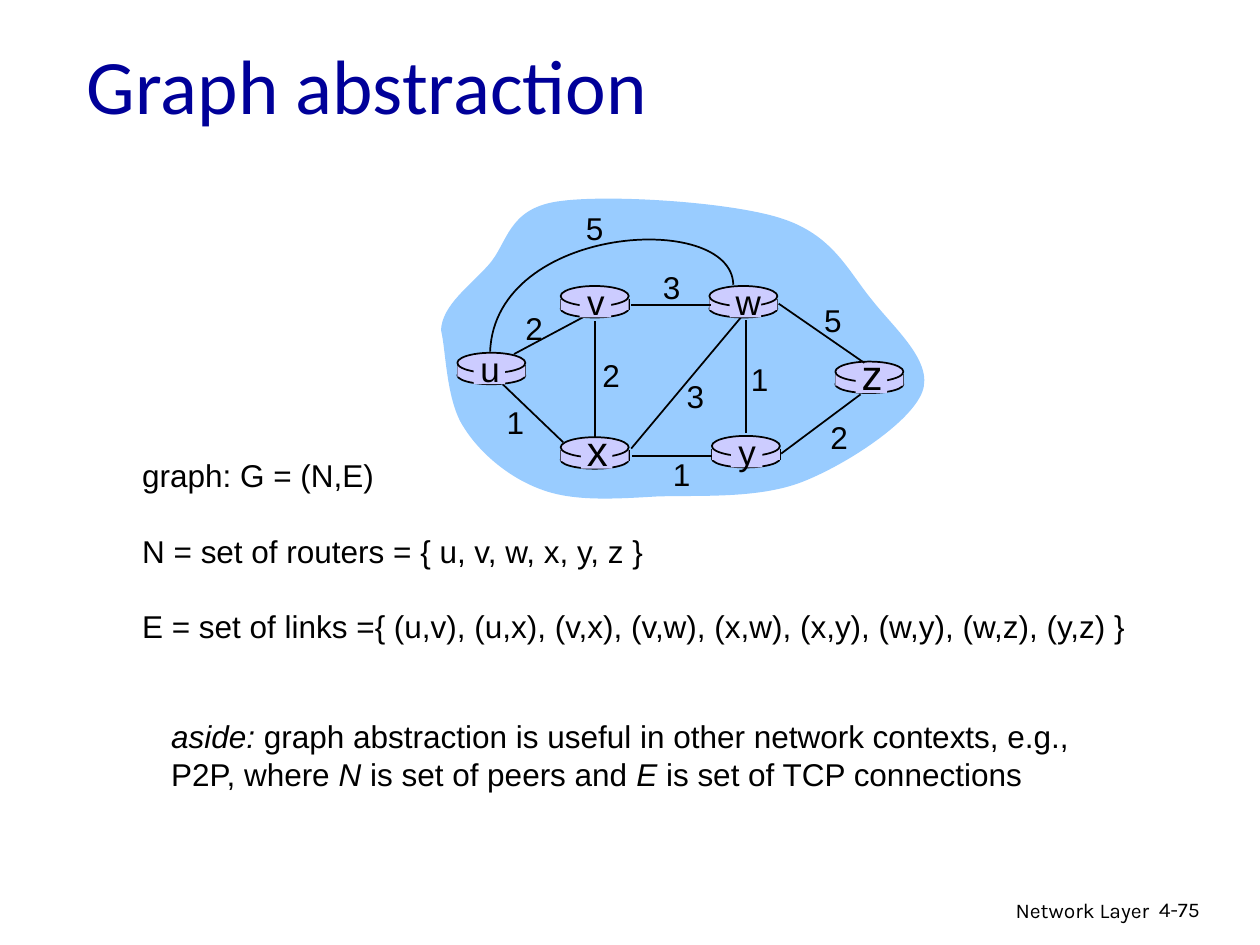
from lxml import etree
from pptx import Presentation
from pptx.dml.color import RGBColor
from pptx.enum.shapes import MSO_CONNECTOR, MSO_SHAPE
from pptx.enum.text import MSO_ANCHOR, PP_ALIGN
from pptx.oxml.ns import qn
from pptx.util import Inches, Pt

STRAIGHT = MSO_CONNECTOR.STRAIGHT
OVAL, RECT = MSO_SHAPE.OVAL, MSO_SHAPE.RECTANGLE
LEFT, CENTER, RIGHT = PP_ALIGN.LEFT, PP_ALIGN.CENTER, PP_ALIGN.RIGHT
COLORS = {"title": "000099", "ink": "000000", "cloud": "99CCFF", "router": "CCCCFF"}
LINE_HEIGHT = Pt(21.6)

# Router name: offset in the graph box, inset of the name plate, letter size
ROUTERS = {
    "u": (0.13, 1.26, 0.13, 20), "x": (0.95, 1.93, 0.16, 24), "v": (0.95, 0.73, 0.15, 20),
    "w": (2.13, 0.73, 0.16, 20), "y": (2.15, 1.92, 0.15, 20), "z": (3.13, 1.33, 0.16, 24),
}
# Link ends in the graph box: x1, y1, x2, y2
LINK_UV = (0.58, 1.27, 1.18, 0.95)
LINKS = [
    (2.42, 1.0, 2.42, 1.9), (1.22, 1.01, 1.22, 1.94), (1.51, 2.02, 2.38, 0.98),
    (2.7, 2.06, 3.33, 1.59), (2.15, 2.08, 1.52, 2.08), (0.97, 1.97, 0.49, 1.51),
    (2.14, 0.88, 1.51, 0.88), (3.36, 1.34, 2.68, 0.87),
]
# Link cost and the offset of its label in the graph box
COSTS = [
    ("2", 0.57, 0.86), ("2", 1.18, 1.24), ("1", 0.42, 1.61), ("3", 1.85, 1.4),
    ("1", 1.74, 2.02), ("1", 2.36, 1.27), ("2", 2.99, 1.73), ("5", 2.94, 0.8),
    ("3", 1.66, 0.54), ("5", 1.05, 0.07),
]
# Curves: a start point, then two controls and an end for each cubic segment
CLOUD = [
    (0, 1.08),
    (0.01, 0.88), (0.23, 0.73), (0.38, 0.56), (0.53, 0.39), (0.53, 0.12), (0.92, 0.06),
    (1.3, 0), (2.28, 0.06), (2.69, 0.19), (3.11, 0.32), (3.23, 0.61), (3.42, 0.84),
    (3.6, 1.07), (3.91, 1.33), (3.82, 1.57), (3.73, 1.81), (3.23, 2.14), (2.88, 2.28),
    (2.53, 2.42), (2.07, 2.39), (1.72, 2.4), (1.38, 2.42), (1.06, 2.44), (0.81, 2.35),
    (0.55, 2.26), (0.31, 2.06), (0.18, 1.85), (0.04, 1.64), (0.04, 1.24), (0, 1.08),
]
LINK_UW = [(2.32, 0.72), (2.31, 0.13), (0.43, 0.24), (0.39, 1.25)]


def rgb(name):
    return RGBColor.from_string(COLORS[name])


def style(shape, fill=None, outlined=False):
    shape.shadow.inherit = False
    if fill:
        shape.fill.solid()
        shape.fill.fore_color.rgb = rgb(fill)
    else:
        shape.fill.background()
    if outlined:
        shape.line.color.rgb = rgb("ink")
        shape.line.width = Pt(1)
    else:
        shape.line.fill.background()


def add_run(paragraph, text, size, font="Arial", color="ink", italic=False):
    run = paragraph.add_run()
    run.text = text
    run.font.size, run.font.name, run.font.italic = Pt(size), font, italic
    run.font.color.rgb = rgb(color)


def add_frame(slide, left, top, width, height, wrap=False):
    box = slide.shapes.add_textbox(Inches(left), Inches(top), Inches(width), Inches(height))
    box.text_frame.word_wrap = wrap
    return box.text_frame


def add_label(slide, box, text, size, align=CENTER, font="Arial", wrap=False):
    paragraph = add_frame(slide, *box, wrap).paragraphs[0]
    paragraph.alignment = align
    add_run(paragraph, text, size, font)


def add_lines(slide, box, lines, gap=0):
    """Each line is a list of (text, italic) runs; gap parts the lines."""
    frame = add_frame(slide, *box)
    for index, runs in enumerate(lines):
        paragraph = frame.add_paragraph() if index else frame.paragraphs[0]
        paragraph.alignment = LEFT
        paragraph.line_spacing = LINE_HEIGHT
        if index and gap:
            paragraph.space_before = gap
        for text, italic in runs:
            add_run(paragraph, text, 18, italic=italic)


def add_line(slide, left, top, ends):
    x1, y1, x2, y2 = ends
    line = slide.shapes.add_connector(
        STRAIGHT, Inches(left + x1), Inches(top + y1), Inches(left + x2), Inches(top + y2))
    line.line.color.rgb = rgb("ink")
    line.line.width = Pt(1)
    etree.SubElement(line._element.spPr, qn("a:effectLst"))


def add_curve(slide, left, top, points, closed):
    emu = [(Inches(left + x), Inches(top + y)) for x, y in points]
    builder = slide.shapes.build_freeform(*emu[0])
    builder.add_line_segments(emu[1:], close=closed)
    curve = builder.convert_to_shape()
    # Turn every three straight segments into one cubic segment
    corners = list(curve._element.iter(qn("a:lnTo")))
    for first in range(0, len(corners), 3):
        cubic = etree.Element(qn("a:cubicBezTo"))
        corners[first].addprevious(cubic)
        for corner in corners[first:first + 3]:
            cubic.append(corner[0])
            corner.getparent().remove(corner)
    return curve


def add_block(slide, preset, box, outlined):
    block = slide.shapes.add_shape(preset, *[Inches(value) for value in box])
    style(block, "router", outlined)


def add_router(slide, left, top):
    add_block(slide, OVAL, (left, top + 0.11, 0.54, 0.14), True)
    for x in (0, 0.54):
        add_line(slide, left, top, (x, 0.1, x, 0.19))
    add_block(slide, RECT, (left, top + 0.1, 0.54, 0.09), False)
    add_block(slide, OVAL, (left, top, 0.54, 0.16), True)


def add_router_name(slide, left, top, name, size):
    add_block(slide, RECT, (left, top + 0.02, 0.25, 0.23), False)
    rise, height = (0.09, 0.43) if size == 20 else (0.15, 0.5)
    add_label(slide, (left - 0.05, top - rise, 0.36, height), name, size)


def add_graph(slide, left, top):
    style(add_curve(slide, left, top, CLOUD, True), "cloud")
    # Routers and links
    add_line(slide, left, top, LINK_UV)
    for x, y, _, _ in ROUTERS.values():
        add_router(slide, left + x, top + y)
    for ends in LINKS:
        add_line(slide, left, top, ends)
    style(add_curve(slide, left, top, LINK_UW, False), outlined=True)
    # Router names and link costs
    for name, (x, y, inset, size) in ROUTERS.items():
        add_router_name(slide, left + x + inset, top + y, name, size)
    for cost, x, y in COSTS:
        add_label(slide, (left + x, top + y, 0.34, 0.4), cost, 18)


def add_title(slide, left, top, width, height):
    title = slide.shapes.title
    title.left, title.top = Inches(left), Inches(top)
    title.width, title.height = Inches(width), Inches(height)
    title.text_frame.vertical_anchor = MSO_ANCHOR.MIDDLE
    paragraph = title.text_frame.paragraphs[0]
    paragraph.alignment = LEFT
    add_run(paragraph, "Graph abstraction", 44, "Calibri", "title")


def add_footer(slide, left, top):
    add_label(slide, (left, top, 3.17, 0.31), "Network Layer", 12, RIGHT, "Karla", True)
    add_label(slide, (left + 3.05, top, 0.74, 0.3), "4-75", 12, LEFT, "Karla", True)


def main():
    prs = Presentation()
    prs.slide_width, prs.slide_height = Inches(10), Inches(7.5)
    slide = prs.slides.add_slide(prs.slide_layouts[5])
    add_footer(slide, 6.05, 7.07)
    add_graph(slide, 3.5, 1.54)
    # Definitions
    add_lines(slide, (1.03, 3.57, 8.09, 1.6), [
        [("graph: G = (N,E)", False)],
        [("N = set of routers = { u, v, w, x, y, z }", False)],
        [("E = set of links ={ (u,v), (u,x), (v,x), (v,w), (x,w), (x,y), (w,y), (w,z), (y,z) }",
          False)],
    ], LINE_HEIGHT)
    add_title(slide, 0.59, 0.23, 8.5, 0.87)
    # Aside
    add_lines(slide, (1.26, 5.64, 7.4, 0.7), [
        [("aside:", True),
         (" graph abstraction is useful in other network contexts, e.g.,", False)],
        [("P2P, where ", False), ("N", True), (" is set of peers and ", False),
         ("E", True), (" is set of TCP connections", False)],
    ])
    prs.save("out.pptx")


if __name__ == "__main__":
    main()
